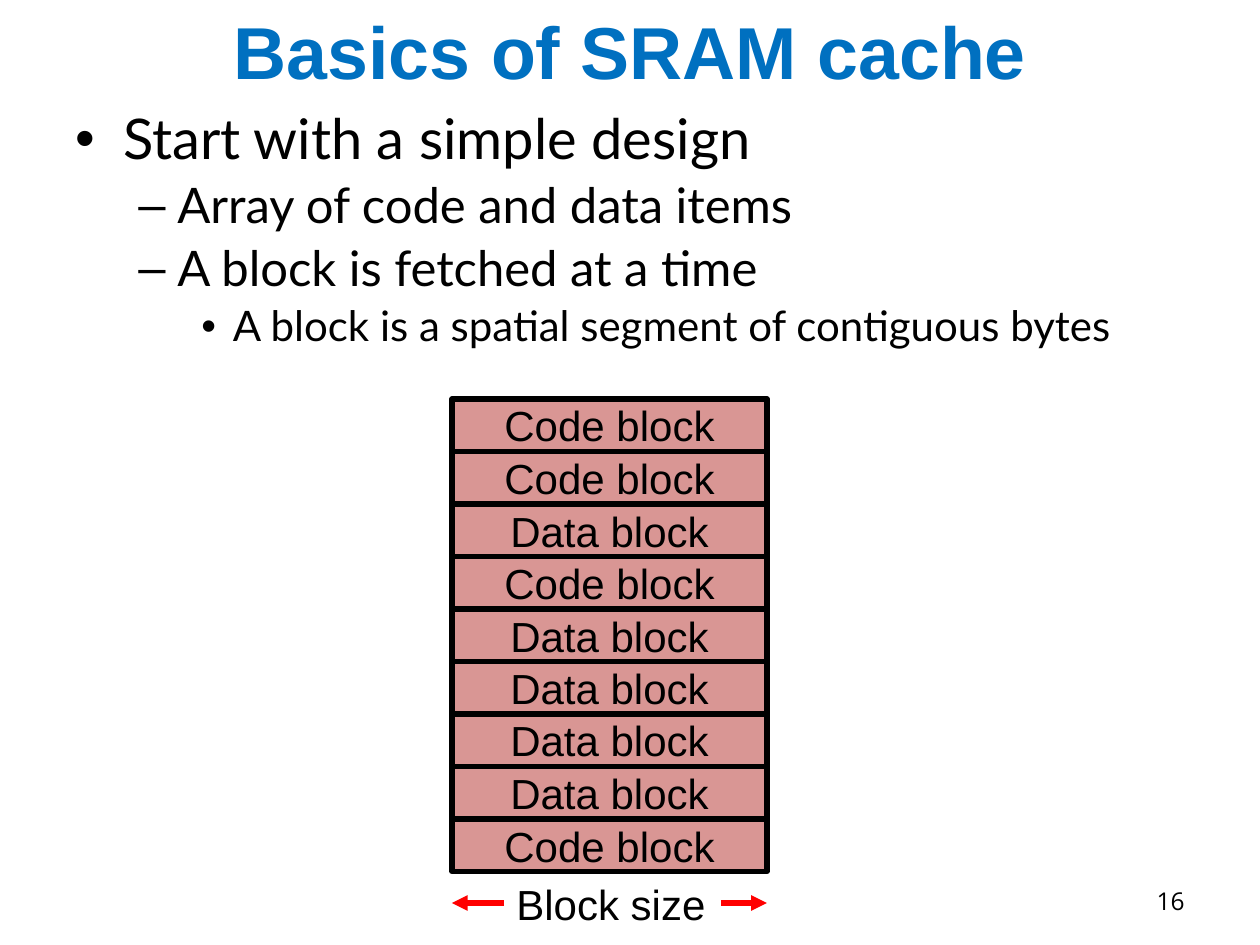
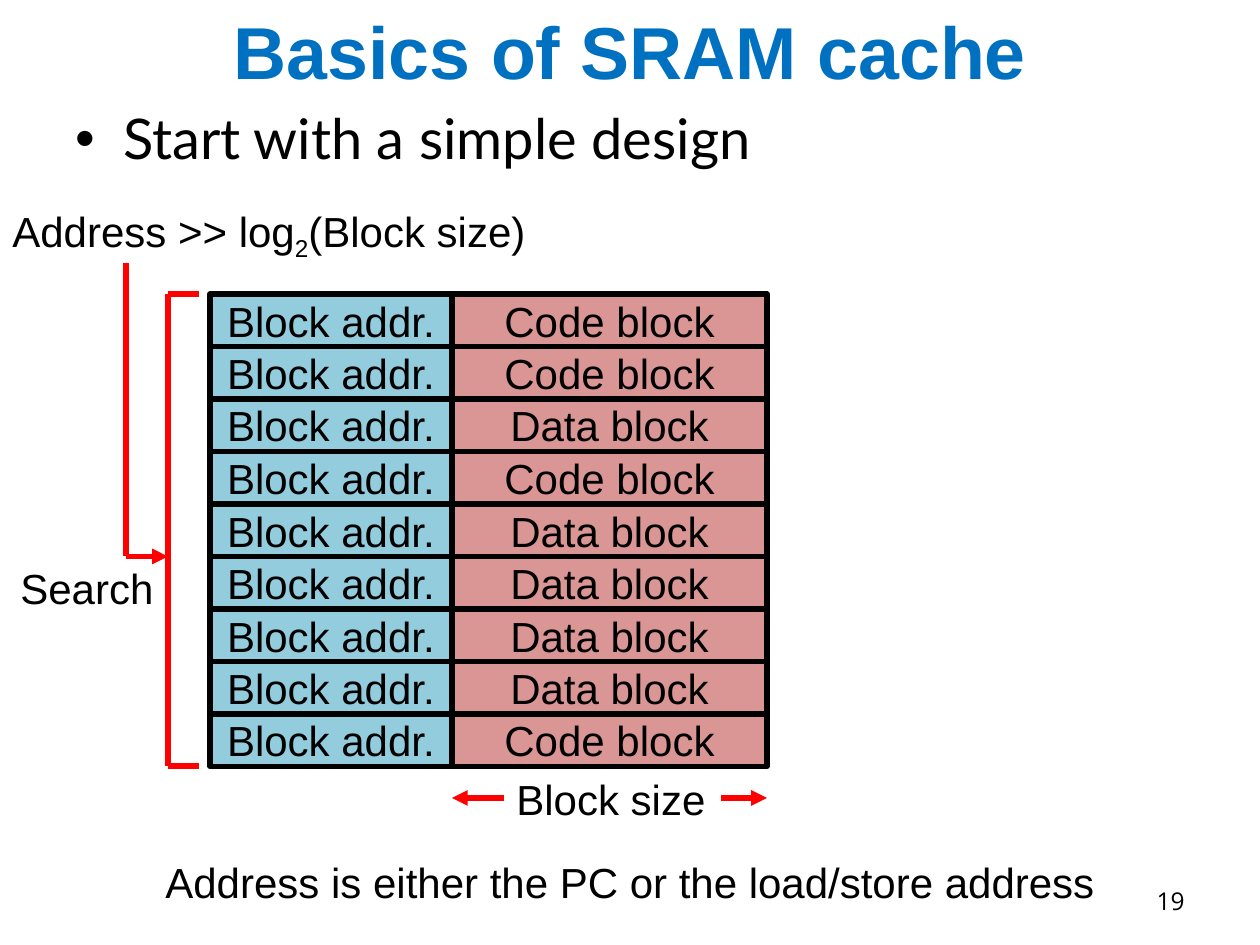
from lxml.etree import SubElement
from pptx import Presentation
from pptx.dml.color import RGBColor
from pptx.enum.shapes import MSO_CONNECTOR as Connector, MSO_SHAPE as Shape
from pptx.enum.text import MSO_ANCHOR as Anchor, MSO_AUTO_SIZE as AutoSize, PP_ALIGN as Align
from pptx.oxml.ns import qn
from pptx.util import Emu, Inches, Pt

PIXELS_PER_INCH = 126
COLORS = {
    "text": "000000",
    "title": "0070C0",
    "data": "D99694",
    "address": "93CDDD",
    "arrow": "FF0000",
    "border": "000000",
}
HEADING = "Basics of SRAM cache"
INTRO = (0, "Start with a simple design")
BLOCKS = ["Code block", "Code block", "Data block", "Code block", "Data block",
          "Data block", "Data block", "Data block", "Code block"]

# Outline levels: size in points, bullet, text indent and hanging in inches
LEVELS = [(32, "•", 0.38, 0.38), (28, "–", 0.81, 0.31), (24, "•", 1.25, 0.25)]

# Block array: column edges, and the height of two rows
ADDRESS_LEFT, BLOCK_LEFT, BLOCK_RIGHT = 210, 452, 767
TWO_ROWS = 105
ARRAY_HEIGHT = len(BLOCKS) * TWO_ROWS // 2


def px(length):
    return Emu(round(length * 914400 / PIXELS_PER_INCH))


def rgb(name):
    return RGBColor.from_string(COLORS[name])


def add_run(paragraph, text, size=24, font="Arial", color="text", bold=False):
    run = paragraph.add_run()
    run.text = text
    run.font.size = Pt(size)
    run.font.name = font
    run.font.bold = bold
    run.font.color.rgb = rgb(color)
    return run


def add_text_box(slide, left, top, width, height, align=Align.LEFT, wrap=False):
    box = slide.shapes.add_textbox(px(left), px(top), px(width), px(height))
    frame = box.text_frame
    frame.word_wrap = wrap
    frame.auto_size = AutoSize.NONE if wrap else AutoSize.SHAPE_TO_FIT_TEXT
    frame.paragraphs[0].alignment = align
    return frame


def add_label(slide, text, left, top, width):
    frame = add_text_box(slide, left, top, width, 63)
    add_run(frame.paragraphs[0], text)


def add_outline(slide, items):
    frame = add_text_box(slide, 63, 105, 1197, 840, wrap=True)
    for index, (level, text) in enumerate(items):
        paragraph = frame.add_paragraph() if index else frame.paragraphs[0]
        size, bullet, indent, hanging = LEVELS[level]
        paragraph.level = level
        paragraph.line_spacing = 0.9
        paragraph.space_before = Pt(size * 0.2)
        properties = paragraph._p.get_or_add_pPr()
        properties.set("marL", str(Inches(indent)))
        properties.set("indent", str(-Inches(hanging)))
        SubElement(properties, qn("a:buFont"), typeface="Arial")
        SubElement(properties, qn("a:buChar"), char=bullet)
        add_run(paragraph, text, size, "Lato")


def add_line(slide, start, end, arrow=False):
    line = slide.shapes.add_connector(
        Connector.STRAIGHT, *(px(value) for value in (*start, *end)))
    line.line.color.rgb = rgb("arrow")
    line.line.width = Pt(3)
    if arrow:
        SubElement(line.line._get_or_add_ln(), qn("a:tailEnd"), type="triangle")
    SubElement(line._element.spPr, qn("a:effectLst"))


def add_column(slide, texts, left, right, top, color):
    for index, text in enumerate(texts):
        cell = slide.shapes.add_shape(
            Shape.RECTANGLE, px(left), px(top + index * TWO_ROWS / 2),
            px(right - left), px(TWO_ROWS / 2))
        cell.shadow.inherit = False
        cell.fill.solid()
        cell.fill.fore_color.rgb = rgb(color)
        cell.line.color.rgb = rgb("border")
        cell.line.width = Pt(3)
        cell.text_frame.vertical_anchor = Anchor.MIDDLE
        paragraph = cell.text_frame.paragraphs[0]
        paragraph.alignment = Align.CENTER
        add_run(paragraph, text)


def add_block_array(slide, top):
    add_column(slide, BLOCKS, BLOCK_LEFT, BLOCK_RIGHT, top, "data")
    # Block size, with an arrow to each edge
    label_left, label_right = 504, 721
    add_label(slide, "Block size", label_left, top + ARRAY_HEIGHT + 1,
              label_right - label_left)
    arrow_y = top + 504
    add_line(slide, (label_right, arrow_y), (BLOCK_RIGHT, arrow_y), arrow=True)
    add_line(slide, (label_left, arrow_y), (BLOCK_LEFT, arrow_y), arrow=True)


def add_slide(presentation, number, outline):
    slide = presentation.slides.add_slide(presentation.slide_layouts[5])
    # Title
    title = slide.shapes.title
    title.left, title.top, title.width, title.height = px(0), px(0), px(1260), px(101)
    frame = title.text_frame
    frame.auto_size = AutoSize.NONE
    frame.vertical_anchor = Anchor.MIDDLE
    frame.paragraphs[0].alignment = Align.CENTER
    add_run(frame.paragraphs[0], HEADING, 42, color="title", bold=True)
    # Slide number
    frame = add_text_box(slide, 903, 876, 294, 50, Align.RIGHT, wrap=True)
    frame.vertical_anchor = Anchor.MIDDLE
    add_run(frame.paragraphs[0], str(number), 14, "Open Sans")
    add_outline(slide, outline)
    return slide


def build_array_slide(presentation):
    slide = add_slide(presentation, 16, [
        INTRO,
        (1, "Array of code and data items"),
        (1, "A block is fetched at a time"),
        (2, "A block is a spatial segment of contiguous bytes"),
    ])
    add_block_array(slide, 399)


def build_search_slide(presentation):
    slide = add_slide(presentation, 19, [INTRO])
    top = 294
    bottom = top + ARRAY_HEIGHT
    add_block_array(slide, top)
    add_column(slide, ["Block addr."] * len(BLOCKS),
               ADDRESS_LEFT, BLOCK_LEFT, top, "address")

    # Address formula
    formula = add_text_box(slide, 0, 199, 554, 63).paragraphs[0]
    add_run(formula, "Address >> log")
    subscript = add_run(formula, "2")
    subscript._r.get_or_add_rPr().set("baseline", "-25000")
    add_run(formula, "(Block size)")

    # Bracket around all rows, and the search arrow into it
    stem, bracket, bracket_end = 126, 168, 199
    search_y = top + 5 * TWO_ROWS / 2
    add_line(slide, (bracket_end, top), (bracket, top))
    add_line(slide, (bracket, top), (bracket, bottom))
    add_line(slide, (bracket, bottom), (bracket_end, bottom))
    add_line(slide, (stem, 263), (stem, search_y))
    add_line(slide, (stem, search_y), (bracket, search_y), arrow=True)
    add_label(slide, "Search", 8, 556, 160)

    # Closing remark
    remark = add_text_box(slide, 0, 850, 1260, 63, Align.CENTER, wrap=True)
    add_run(remark.paragraphs[0], "Address is either the PC or the load/store address")


def main():
    presentation = Presentation()
    presentation.slide_width = px(1260)
    presentation.slide_height = px(945)
    build_array_slide(presentation)
    build_search_slide(presentation)
    presentation.save("out.pptx")


main()
